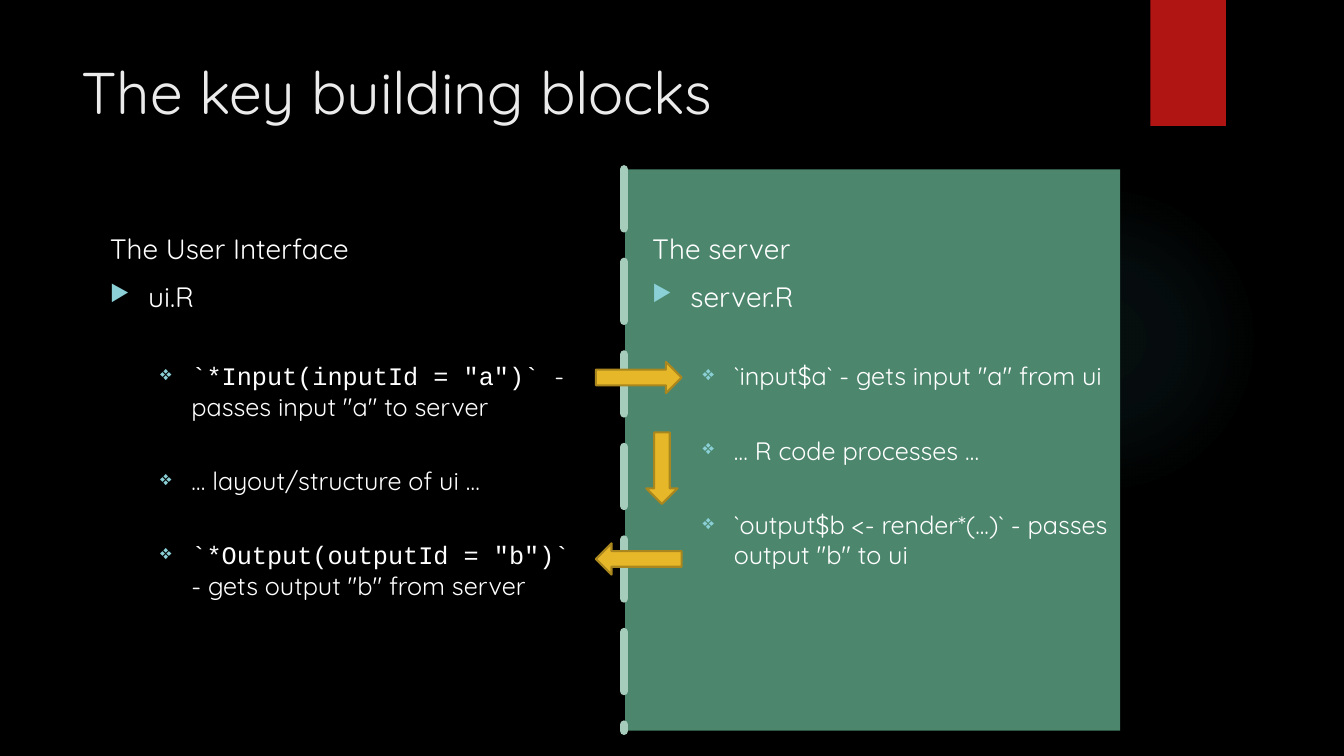
from lxml import etree
from pptx import Presentation
from pptx.dml.color import RGBColor
from pptx.enum import dml, shapes, text
from pptx.oxml import parse_xml
from pptx.oxml.ns import nsdecls, qn
from pptx.util import Inches, Pt

COLORS = {"bg": "000000", "glow": "50B9C1", "tab": "B01513", "panel": "4B866D",
          "title": "EBEBEB", "body": "FFFFFF", "bullet": "8AD0D6",
          "arrow": "E6B729", "edge": "AA871E", "divider": "A6CDBC"}
SANS, MONO = "Quicksand", "Courier New"
TITLE = "The key building blocks"
COLUMNS = [
    (0.99, "The User Interface", "ui.R", [
        [('`*Input(inputId = "a")` ', MONO), ('- passes input "a" to server', SANS)],
        [("… layout/structure of ui …", SANS)],
        [('`*Output(outputId = "b")` ', MONO), ('- gets output "b" from server', SANS)]]),
    (6.37, "The server", "server.R", [
        [('`input$a` - gets input "a" from ui', SANS)],
        [("… R code processes …", SANS)],
        [('`output$b <- render*(...)` - passes output "b" to ui', SANS)]]),
]
ARROWS = [(6.21, 4.49, 0.71, 90), (5.91, 5.39, 0.85, 180), (5.91, 3.59, 0.85, 0)]
ARROW_HEIGHT = 0.31
GLOW_STOPS = [(0, 7), (36, 6), (69, 0)]
PANEL = (6.2, 1.68, 4.91, 5.57)
DIVIDER_X = 6.19


def rgb(name):
    return RGBColor.from_string(COLORS[name])


def add_shape(slide, kind, box, fill, line=None):
    sp = slide.shapes.add_shape(kind, *map(Inches, box))
    sp.shadow.inherit = False
    sp.fill.solid()
    sp.fill.fore_color.rgb = rgb(fill)
    if line:
        sp.line.color.rgb = rgb(line)
        sp.line.width = Pt(1.5)
    else:
        sp.line.fill.background()
    return sp


def add_glow(slide):
    sp = add_shape(slide, shapes.MSO_SHAPE.OVAL, (9.41, 1.83, 3.08, 3.08), "glow")
    stops = "".join(
        f'<a:gs pos="{pos * 1000}"><a:srgbClr val="{COLORS["glow"]}">'
        f'<a:alpha val="{alpha * 1000}"/></a:srgbClr></a:gs>' for pos, alpha in GLOW_STOPS)
    grad = parse_xml(
        f'<a:gradFill {nsdecls("a")}><a:gsLst>{stops}</a:gsLst><a:path path="circle">'
        '<a:fillToRect l="50000" t="50000" r="50000" b="50000"/></a:path></a:gradFill>')
    spPr = sp.fill._xPr
    spPr.replace(spPr.find(qn("a:solidFill")), grad)


def add_divider(slide):
    x, top, bottom = Inches(DIVIDER_X), Inches(PANEL[1]), Inches(PANEL[1] + PANEL[3])
    cxn = slide.shapes.add_connector(shapes.MSO_CONNECTOR.STRAIGHT, x, top, x, bottom)
    cxn.line.color.rgb = rgb("divider")
    cxn.line.width = Pt(6)
    cxn.line.dash_style = dml.MSO_LINE.LONG_DASH
    spPr = cxn._element.spPr
    spPr.find(qn("a:ln")).set("cap", "rnd")
    etree.SubElement(spPr, qn("a:effectLst"))


def add_textbox(slide, box):
    tf = slide.shapes.add_textbox(*map(Inches, box)).text_frame
    tf.word_wrap = True
    tf.vertical_anchor = text.MSO_ANCHOR.TOP
    return tf


def add_run(p, words, size, color, font=SANS):
    r = p.add_run()
    r.text = words
    r.font.size = Pt(size)
    r.font.name = font
    r.font.color.rgb = rgb(color)


def set_bullet(p, char, margin, hanging):
    pPr = p._p.get_or_add_pPr()
    pPr.set("marL", str(Inches(margin)))
    pPr.set("indent", str(-Inches(hanging)))
    color = etree.SubElement(pPr, qn("a:buClr"))
    etree.SubElement(color, qn("a:srgbClr"), val=COLORS["bullet"])
    etree.SubElement(pPr, qn("a:buSzPct"), val="80000")
    etree.SubElement(pPr, qn("a:buChar"), char=char)


def add_column(slide, left, heading, filename, items):
    tf = add_textbox(slide, (left, 2.25, 4.81, 4.59))
    add_run(tf.paragraphs[0], heading, 20, "body")
    p = tf.add_paragraph()
    p.space_before = Pt(10)
    set_bullet(p, "▶", 0.38, 0.38)
    add_run(p, filename, 20, "body")
    for i, runs in enumerate(items):
        p = tf.add_paragraph()
        p.level = 1
        p.space_before = Pt(31.6 if i else 34)
        set_bullet(p, "❖", 0.81, 0.31)
        for words, font in runs:
            add_run(p, words, 18, "body", font)


def main():
    """Build the slide on the user interface and the server."""
    prs = Presentation()
    prs.slide_width, prs.slide_height = Inches(13.33), Inches(7.5)
    slide = prs.slides.add_slide(prs.slide_layouts[6])
    slide.background.fill.solid()
    slide.background.fill.fore_color.rgb = rgb("bg")
    add_glow(slide)
    add_shape(slide, shapes.MSO_SHAPE.RECTANGLE, (11.41, 0, 0.75, 1.25), "tab")
    add_shape(slide, shapes.MSO_SHAPE.RECTANGLE, PANEL, "panel")
    title = add_textbox(slide, (0.71, 0.5, 10.29, 1.53))
    add_run(title.paragraphs[0], TITLE, 42, "title")
    for column in COLUMNS:
        add_column(slide, *column)
    add_divider(slide)
    for left, top, width, angle in ARROWS:
        box = (left, top, width, ARROW_HEIGHT)
        sp = add_shape(slide, shapes.MSO_SHAPE.RIGHT_ARROW, box, "arrow", "edge")
        sp.rotation = angle
    prs.save("out.pptx")


if __name__ == "__main__":
    main()
